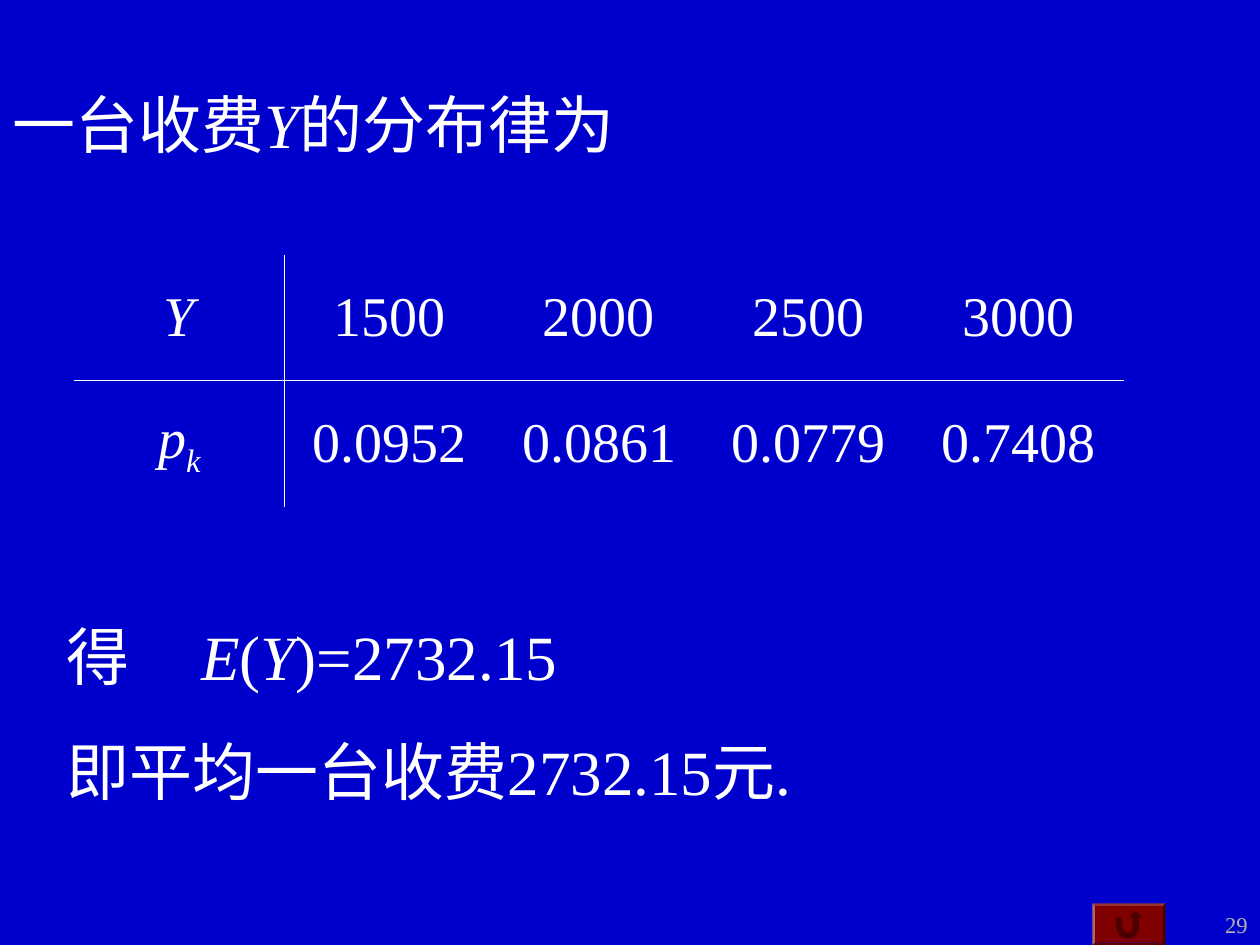
from math import cos, pi, sin

from lxml import etree
from pptx import Presentation
from pptx.dml.color import RGBColor
from pptx.enum.shapes import MSO_SHAPE
from pptx.enum.text import MSO_ANCHOR, MSO_AUTO_SIZE, PP_ALIGN
from pptx.oxml.ns import qn
from pptx.util import Inches, Pt

LEFT, CENTER, RIGHT = PP_ALIGN.LEFT, PP_ALIGN.CENTER, PP_ALIGN.RIGHT
TOP, MIDDLE = MSO_ANCHOR.TOP, MSO_ANCHOR.MIDDLE

# Content: a run is (text, style), where style is "", "i" (italic) or "sub" (italic subscript)
TITLE = [("一台收费", ""), ("Y", "i"), ("的分布律为", "")]
DISTRIBUTION = [
    [[("Y", "i")], "1500", "2000", "2500", "3000"],
    [[("p", "i"), ("k", "sub")], "0.0952", "0.0861", "0.0779", "0.7408"],
]
RESULT = [
    [("得\t", ""), ("E", "i"), ("(", ""), ("Y", "i"), (")=2732.15", "")],
    "即平均一台收费2732.15元.",
]
PAGE = "29"

THEME = {
    "font": "Times New Roman",
    "background": "0000CC", "text": "FFFFFF", "page": "B2B2B2",
    "button": "800000", "glyph": "4D0000",
    "large": 36, "cell": 32, "small": 12.9, "rule": 0.45,
}


def rgb(name):
    return RGBColor.from_string(THEME[name])


def write(tf, paragraphs, size, color="text", align=LEFT, before=0, anchor=TOP):
    tf.word_wrap = True
    tf.vertical_anchor = anchor
    for n, runs in enumerate(paragraphs):
        p = tf.paragraphs[0] if n == 0 else tf.add_paragraph()
        p.alignment, p.space_before = align, Pt(before)
        for text, style in [(runs, "")] if isinstance(runs, str) else runs:
            r = p.add_run()
            r.text = text
            r.font.color.rgb = rgb(color)
            formats = {"name": THEME["font"], "size": Pt(THEME[size]),
                       "bold": False, "italic": style != ""}
            for key, value in formats.items():
                setattr(r.font, key, value)
            if style == "sub":
                r.font._element.set("baseline", "-25000")


def set_borders(cell, visible):
    tcPr = cell._tc.get_or_add_tcPr()
    for n, side in enumerate("LRTB"):
        ln = etree.Element(qn(f"a:ln{side}"), w=str(Pt(THEME["rule"])))
        if side in visible:
            fill = etree.SubElement(ln, qn("a:solidFill"))
            etree.SubElement(fill, qn("a:srgbClr"), val=THEME["text"])
        else:
            etree.SubElement(ln, qn("a:noFill"))
        tcPr.insert(n, ln)


def paint(sp, color):
    sp.shadow.inherit = False
    sp.fill.solid()
    sp.fill.fore_color.rgb = rgb(color)
    sp.line.fill.background()


def arc(cx, cy, radius, start, end, steps=12):
    angles = [start + (end - start) * n / steps for n in range(steps + 1)]
    return [(cx + radius * cos(a), cy + radius * sin(a)) for a in angles]


prs = Presentation()
prs.slide_width, prs.slide_height = Inches(10), Inches(7.5)
s = prs.slides.add_slide(prs.slide_layouts[5])
s.background.fill.solid()
s.background.fill.fore_color.rgb = rgb("background")

# Return button: bevel and U-turn arrow
button = s.shapes.add_shape(MSO_SHAPE.BEVEL, Inches(8.67), Inches(7.17),
                            Inches(0.58), Inches(0.33))
button.adjustments[0] = 0.06
paint(button, "button")
CX, CY, TIP = 8.95, 7.36, 7.28
points = [(CX - 0.1, TIP), (CX - 0.05, TIP),
          *arc(CX, CY, 0.04, pi, 0),
          (CX + 0.04, TIP), (CX + 0.01, TIP), (CX + 0.06, TIP - 0.05),
          (CX + 0.12, TIP), (CX + 0.09, TIP),
          *arc(CX, CY, 0.09, 0, pi)]
points = [(Inches(x), Inches(y)) for x, y in points]
fb = s.shapes.build_freeform(*points[0])
fb.add_line_segments(points[1:], close=True)
paint(fb.convert_to_shape(), "glyph")

# Page number
box = s.shapes.add_textbox(Inches(9.33), Inches(7.17), Inches(0.67), Inches(0.33))
write(box.text_frame, [PAGE], "small", "page", RIGHT, anchor=MIDDLE)

# Title
title = s.shapes.title
title.left, title.top, title.width, title.height = (
    Inches(v) for v in (0, 0.6, 10, 0.75))
title.text_frame.auto_size = MSO_AUTO_SIZE.NONE
write(title.text_frame, [TITLE], "large", anchor=MIDDLE)

# Distribution table: one rule below the first row, one after the first column
rows, cols = len(DISTRIBUTION), len(DISTRIBUTION[0])
table = s.shapes.add_table(rows, cols, Inches(0.59), Inches(2.02),
                           Inches(8.33), Inches(2)).table
table.first_row = table.horz_banding = False
for i, row in enumerate(DISTRIBUTION):
    for j, value in enumerate(row):
        cell = table.cell(i, j)
        cell.fill.background()
        cell.vertical_anchor = MIDDLE
        write(cell.text_frame, [value], "cell", align=CENTER, before=8, anchor=MIDDLE)
        set_borders(cell, ("B" if i == 0 else "T") + {0: "R", 1: "L"}.get(j, ""))

# Result, with a tab stop before the formula
box = s.shapes.add_textbox(Inches(0.43), Inches(4.85), Inches(9.08), Inches(1.62))
write(box.text_frame, RESULT, "large", before=22.5)
box.text_frame.auto_size = MSO_AUTO_SIZE.SHAPE_TO_FIT_TEXT
tabs = etree.SubElement(box.text_frame.paragraphs[0]._p.get_or_add_pPr(), qn("a:tabLst"))
etree.SubElement(tabs, qn("a:tab"), pos=str(Inches(1.07)), algn="l")

prs.save("out.pptx")
